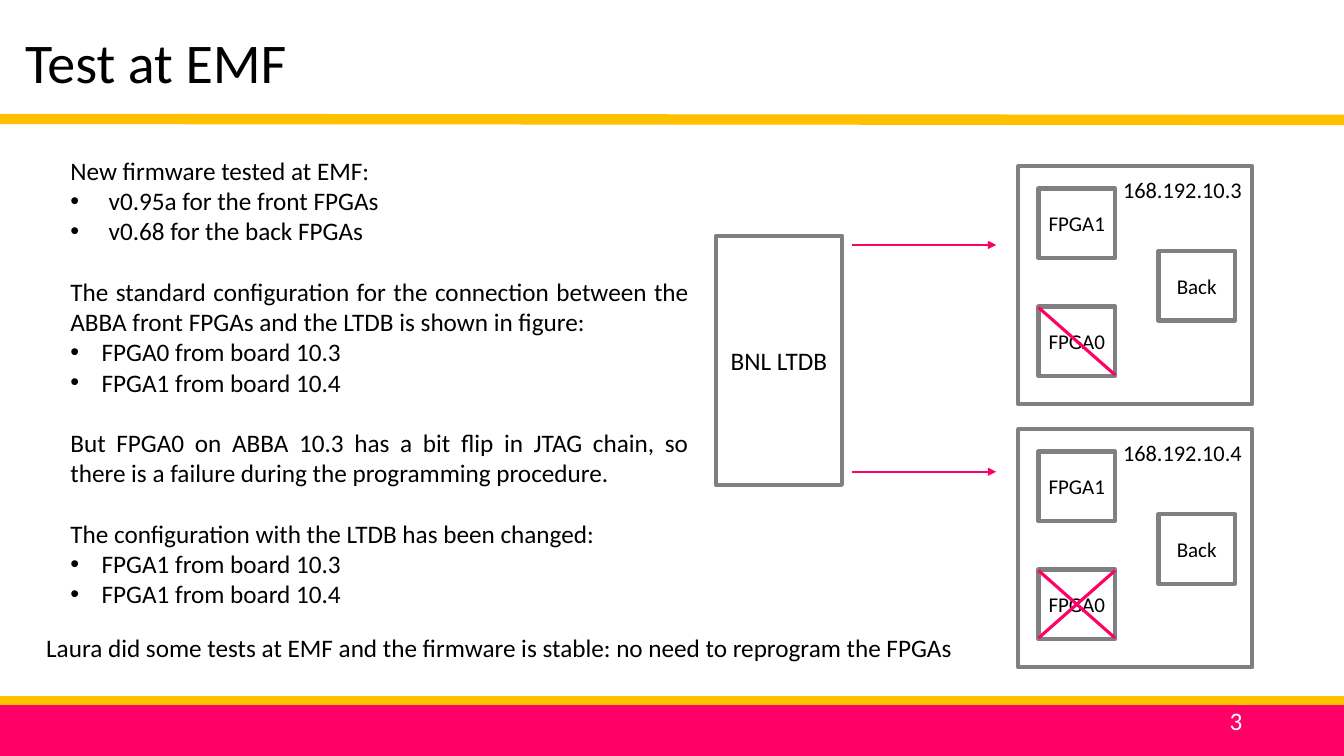
from lxml.etree import SubElement
from pptx import Presentation
from pptx.dml.color import RGBColor
from pptx.enum.shapes import MSO_CONNECTOR, MSO_SHAPE
from pptx.enum.text import MSO_ANCHOR, PP_ALIGN
from pptx.oxml.ns import qn
from pptx.util import Inches, Pt

BLACK, WHITE, GREY = "000000", "FFFFFF", "808080"
YELLOW, PINK = "FFC000", "FF0066"


def color(hex_code):
    return RGBColor.from_string(hex_code)


class SlideBuilder:
    """Holds the font and the slide being built; lengths are in inches."""

    def __init__(self, slide, font="Calibri"):
        self.slide = slide
        self.font = font

    def style(self, paragraph, size, hex_code=BLACK, align=PP_ALIGN.LEFT):
        paragraph.alignment = align
        for run in paragraph.runs:
            run.font.name = self.font
            run.font.size = Pt(size)
            run.font.color.rgb = color(hex_code)

    def title(self, wording, left, top, width, height, size):
        heading = self.slide.shapes.title
        heading.left, heading.top = Inches(left), Inches(top)
        heading.width, heading.height = Inches(width), Inches(height)
        frame = heading.text_frame
        frame.text = wording
        frame.word_wrap = False
        frame.vertical_anchor = MSO_ANCHOR.TOP
        self.style(frame.paragraphs[0], size)

    def text(self, wording, left, top, width, height, size=18, hex_code=BLACK,
             align=PP_ALIGN.LEFT, anchor=MSO_ANCHOR.TOP, wrap=False):
        frame = self.slide.shapes.add_textbox(
            Inches(left), Inches(top), Inches(width), Inches(height)).text_frame
        frame.word_wrap = wrap
        frame.vertical_anchor = anchor
        frame.text = wording
        self.style(frame.paragraphs[0], size, hex_code, align)

    def sections(self, sections, left, top, width, height, size=18, gap=21.6):
        """Write justified lead sentences, each followed by its bullets."""
        frame = self.slide.shapes.add_textbox(
            Inches(left), Inches(top), Inches(width), Inches(height)).text_frame
        frame.word_wrap = True
        for number, (lead, bullets, indent) in enumerate(sections):
            paragraph = frame.add_paragraph() if number else frame.paragraphs[0]
            paragraph.text = lead
            if number:
                paragraph.space_before = Pt(gap)
            self.style(paragraph, size, align=PP_ALIGN.JUSTIFY)
            for bullet in bullets:
                paragraph = frame.add_paragraph()
                paragraph.text = bullet
                self.bullet(paragraph, indent)
                self.style(paragraph, size, align=PP_ALIGN.JUSTIFY)

    def bullet(self, paragraph, indent):
        properties = paragraph._p.get_or_add_pPr()
        properties.set("marL", str(Inches(indent)))
        properties.set("indent", str(-Inches(indent)))
        SubElement(properties, qn("a:buFont")).set("typeface", "Arial")
        SubElement(properties, qn("a:buChar")).set("char", "•")

    def box(self, left, top, width, height, wording="", size=15,
            fill=None, line=GREY, weight=3):
        shape = self.slide.shapes.add_shape(
            MSO_SHAPE.RECTANGLE, Inches(left), Inches(top), Inches(width), Inches(height))
        shape.shadow.inherit = False
        if fill:
            shape.fill.solid()
            shape.fill.fore_color.rgb = color(fill)
        else:
            shape.fill.background()
        shape.line.color.rgb = color(line)
        shape.line.width = Pt(weight)
        if wording:
            frame = shape.text_frame
            frame.margin_left = frame.margin_right = 0
            frame.vertical_anchor = MSO_ANCHOR.MIDDLE
            frame.text = wording
            self.style(frame.paragraphs[0], size, align=PP_ALIGN.CENTER)

    def line(self, x1, y1, x2, y2, hex_code, weight, arrow=False):
        connector = self.slide.shapes.add_connector(
            MSO_CONNECTOR.STRAIGHT, Inches(x1), Inches(y1), Inches(x2), Inches(y2))
        connector.line.color.rgb = color(hex_code)
        connector.line.width = Pt(weight)
        if arrow:
            SubElement(connector.line._get_or_add_ln(), qn("a:tailEnd")).set("type", "triangle")
        SubElement(connector._element.spPr, qn("a:effectLst"))

    def board(self, address, top, left=10.1):
        """Draw a board with its address, two front FPGAs and the back one."""
        self.box(left, top, 2.32, 2.36)
        for name, dx, dy in (("FPGA1", 0.2, 0.22), ("FPGA0", 0.2, 1.39), ("Back", 1.39, 0.84)):
            self.box(left + dx, top + dy, 0.76, 0.69, name)
        self.text(address, left + 0.94, top + 0.05, 1.4, 0.37, size=16)


SECTIONS = [
    ("New firmware tested at EMF:",
     ["v0.95a for the front FPGAs", "v0.68 for the back FPGAs"], 0.38),
    ("The standard configuration for the connection between the ABBA front FPGAs "
     "and the LTDB is shown in figure:",
     ["FPGA0 from board 10.3", "FPGA1 from board 10.4"], 0.31),
    ("But FPGA0 on ABBA 10.3 has a bit flip in JTAG chain, so there is a failure "
     "during the programming procedure.", [], 0),
    ("The configuration with the LTDB has been changed:",
     ["FPGA1 from board 10.3", "FPGA1 from board 10.4"], 0.31),
]


def main():
    presentation = Presentation()
    presentation.slide_width = Inches(13.33)
    presentation.slide_height = Inches(7.5)
    page = SlideBuilder(presentation.slides.add_slide(presentation.slide_layouts[5]))

    page.title("Test at EMF", 0.15, 0.22, 2.82, 0.77, size=40)
    for y in (1.16, 1.2):
        page.line(0, y, 13.33, y + 0.01, YELLOW, 4.5)
    page.box(0, 6.96, 13.33, 0.54, fill=PINK, line=PINK, weight=1)
    page.line(0, 6.95, 13.33, 6.95, YELLOW, 6)
    page.text("3", 9.42, 6.95, 3, 0.4, hex_code=WHITE, align=PP_ALIGN.RIGHT,
              anchor=MSO_ANCHOR.MIDDLE, wrap=True)

    page.sections(SECTIONS, 0.6, 1.49, 6.33, 4.64)
    page.text("Laura did some tests at EMF and the firmware is stable: "
              "no need to reprogram the FPGAs", 0.36, 6.22, 9.3, 0.4)

    page.box(7.1, 2.34, 1.25, 2.47, "BNL LTDB", size=18)
    for y in (2.43, 4.68):
        page.line(8.45, y, 9.88, y, PINK, 1.5, arrow=True)
    page.board("168.192.10.3", 1.65)
    page.board("168.192.10.4", 4.26)

    # Strike out the unused FPGA0 chips
    for x1, y1, x2 in ((10.3, 3.05, 11.06), (10.3, 5.66, 11.06), (11.06, 5.66, 10.3)):
        page.line(x1, y1, x2, y1 + 0.67, PINK, 2.25)

    presentation.save("out.pptx")


if __name__ == "__main__":
    main()
